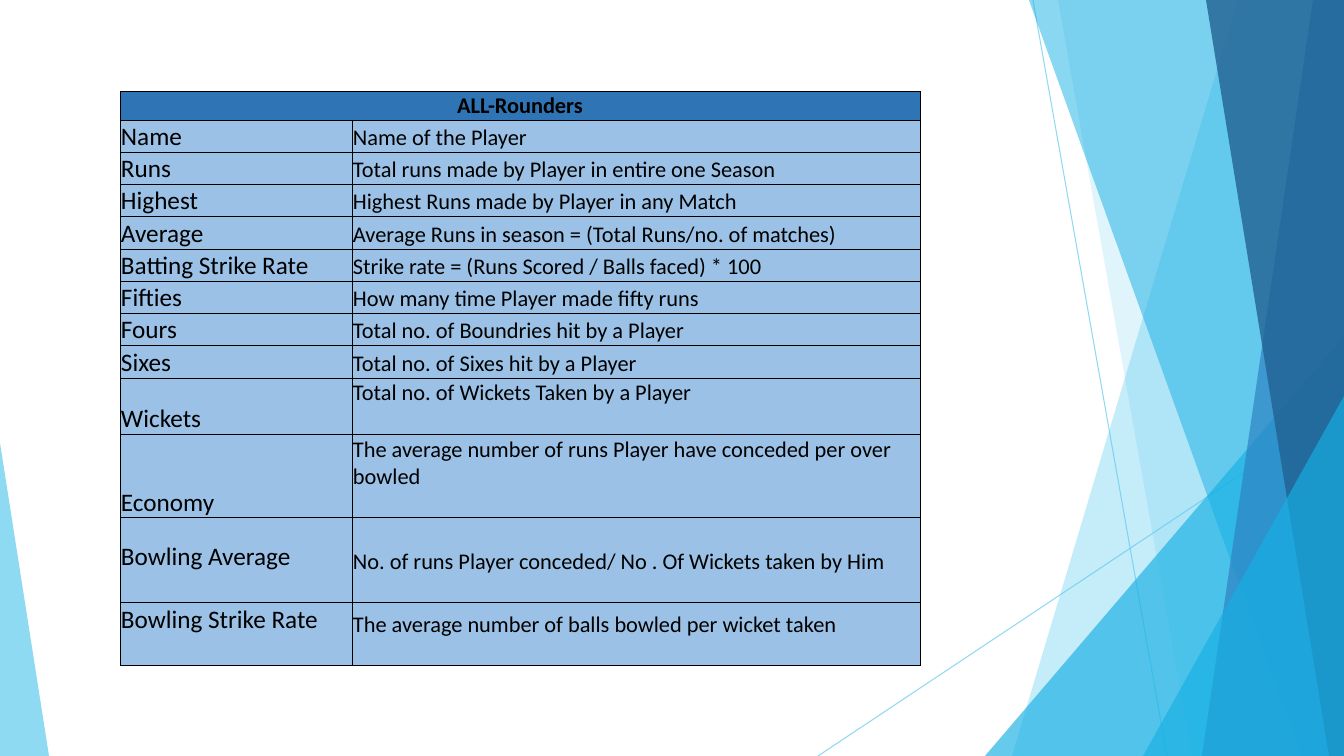
import lxml.etree
import pptx
import pptx.dml.color
import pptx.enum.shapes
import pptx.enum.text
import pptx.oxml
import pptx.oxml.ns
import pptx.util

PX = 914400 / 100.8
SLIDE_WIDTH, SLIDE_HEIGHT = 1344, 756

HEADING = "ALL-Rounders"
# label, description, row height, label lift, description lift
STATISTICS = [
    ("Name", "Name of the Player", 32, 0, 0),
    ("Runs", "Total runs made by Player in entire one Season", 32, 0, 0),
    ("Highest", "Highest Runs made by Player in any Match", 32, 0, 0),
    ("Average", "Average Runs in season = (Total Runs/no. of matches)", 33, 0, 0),
    ("Batting Strike Rate", "Strike rate = (Runs Scored / Balls faced) * 100", 32, 0, 0),
    ("Fifties", "How many time Player made fifty runs", 32, 0, 0),
    ("Fours", "Total no. of Boundries hit by a Player", 32, 0, 0),
    ("Sixes", "Total no. of Sixes hit by a Player", 33, 0, 0),
    ("Wickets", "Total no. of Wickets Taken by a Player", 56, 0, 27),
    ("Economy", "The average number of runs Player have conceded per over bowled", 84, 0, 27),
    ("Bowling Average", "No. of runs Player conceded/ No . Of Wickets taken by Him", 85, 31, 27),
    ("Bowling Strike Rate", "The average number of balls bowled per wicket taken", 63, 31, 27),
]
TABLE_LEFT, TABLE_TOP = 120, 91
HEADING_HEIGHT = 29
COLUMN_WIDTHS = (232, 568)
HEADING_FILL, BODY_FILL, BLACK = "2F75B5", "9BC2E6", "000000"

SKY, CYAN, BLUE, NAVY = "5FCBEF", "17B0E4", "2E83C3", "226292"
RAYS = [(1033, 0, 1167, 756), (1344, 406, 818, 756)]
# bands: top x, bottom x; triangles: left, top, width, apex position
FACETS = [
    ("band", (1238, 1012), SKY, 36),
    ("band", (1058, 1192), SKY, 20),
    ("triangle", (985, 336, 359, 1), CYAN, 66),
    ("band", (1029, 1301), CYAN, 50),
    ("band", (1313, 1202), BLUE, 70),
    ("band", (1206, 1329), NAVY, 80),
    ("triangle", (1143, 396, 201, 1), CYAN, 66),
    ("triangle", (0, 443, 49, 0), SKY, 70),
]


def px(length):
    return pptx.util.Emu(round(length * PX))


def paint(fill, colour, opacity=100):
    fill.solid()
    fill.fore_color.rgb = pptx.dml.color.RGBColor.from_string(colour)
    if opacity < 100:
        choice = fill._xPr.find(pptx.oxml.ns.qn("a:solidFill"))[0]
        alpha = lxml.etree.SubElement(choice, pptx.oxml.ns.qn("a:alpha"))
        alpha.set("val", str(opacity * 1000))


def add_ray(slide, ends):
    ray = slide.shapes.add_connector(
        pptx.enum.shapes.MSO_CONNECTOR.STRAIGHT, *map(px, ends))
    ray.line.width = pptx.util.Pt(0.75)
    paint(ray.line.fill, SKY, 70)
    lxml.etree.SubElement(ray._element.spPr, pptx.oxml.ns.qn("a:effectLst"))


def add_band(slide, top_x, bottom_x):
    """Outline from a slanted left edge to the right side of the slide."""
    builder = slide.shapes.build_freeform(top_x, 0, scale=PX)
    builder.add_line_segments([
        (SLIDE_WIDTH, 0), (SLIDE_WIDTH, SLIDE_HEIGHT), (bottom_x, SLIDE_HEIGHT)])
    return builder.convert_to_shape()


def add_triangle(slide, left, top, width, apex):
    triangle = slide.shapes.add_shape(
        pptx.enum.shapes.MSO_SHAPE.ISOSCELES_TRIANGLE,
        px(left), px(top), px(width), px(SLIDE_HEIGHT - top))
    triangle.adjustments[0] = apex
    return triangle


def add_borders(cell):
    properties = cell._tc.get_or_add_tcPr()
    for side in "LRTB":
        properties.append(pptx.oxml.parse_xml(
            f'<a:ln{side} {pptx.oxml.ns.nsdecls("a")} w="6350"><a:solidFill>'
            f'<a:srgbClr val="{BLACK}"/></a:solidFill></a:ln{side}>'))


def format_cell(cell, fill, lift=0):
    add_borders(cell)
    paint(cell.fill, fill)
    layout = {
        "margin_left": px(1), "margin_right": px(1), "margin_top": px(1),
        "margin_bottom": px(lift),
        "vertical_anchor": pptx.enum.text.MSO_ANCHOR.BOTTOM,
    }
    for name, value in layout.items():
        setattr(cell, name, value)


def write_cell(cell, text, size, bold=False):
    para = cell.text_frame.paragraphs[0]
    span = para.add_run()
    span.text = text
    for name, value in {"name": "Calibri", "size": pptx.util.Pt(size), "bold": bold}.items():
        setattr(span.font, name, value)
    paint(span.font.fill, BLACK)
    return para


def add_statistics(slide):
    heights = [HEADING_HEIGHT] + [row[2] for row in STATISTICS]
    table = slide.shapes.add_table(
        len(heights), len(COLUMN_WIDTHS), px(TABLE_LEFT), px(TABLE_TOP),
        px(sum(COLUMN_WIDTHS)), px(sum(heights))).table
    table.first_row = table.horz_banding = False
    for column, width in zip(table.columns, COLUMN_WIDTHS):
        column.width = px(width)
    for row, height in zip(table.rows, heights):
        row.height = px(height)

    for cell in table.rows[0].cells:
        format_cell(cell, HEADING_FILL)
    heading = table.cell(0, 0)
    heading.merge(table.cell(0, 1))
    write_cell(heading, HEADING, 16, True).alignment = pptx.enum.text.PP_ALIGN.CENTER

    for index, (label, description, _, *lifts) in enumerate(STATISTICS, 1):
        for cell, text, size, lift in zip(
                table.rows[index].cells, (label, description), (18, 16), lifts):
            format_cell(cell, BODY_FILL, lift)
            write_cell(cell, text, size)


def main():
    deck = pptx.Presentation()
    deck.slide_width, deck.slide_height = px(SLIDE_WIDTH), px(SLIDE_HEIGHT)
    slide = deck.slides.add_slide(deck.slide_layouts.get_by_name("Blank"))
    for ends in RAYS:
        add_ray(slide, ends)
    makers = {"band": add_band, "triangle": add_triangle}
    for kind, geometry, colour, opacity in FACETS:
        facet = makers[kind](slide, *geometry)
        paint(facet.fill, colour, opacity)
        facet.line.fill.background()
        facet.shadow.inherit = False
    add_statistics(slide)
    deck.save("out.pptx")


if __name__ == "__main__":
    main()
